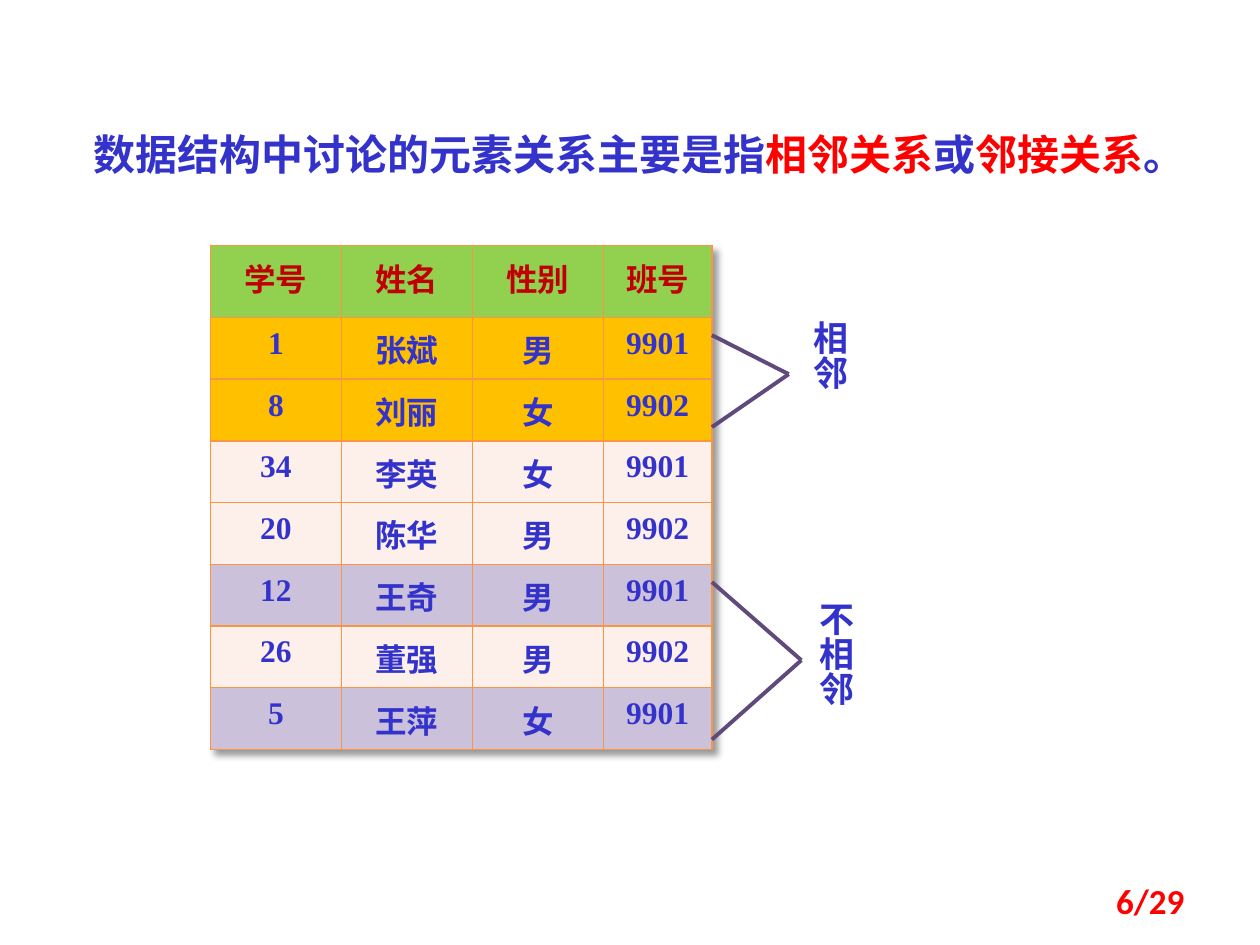
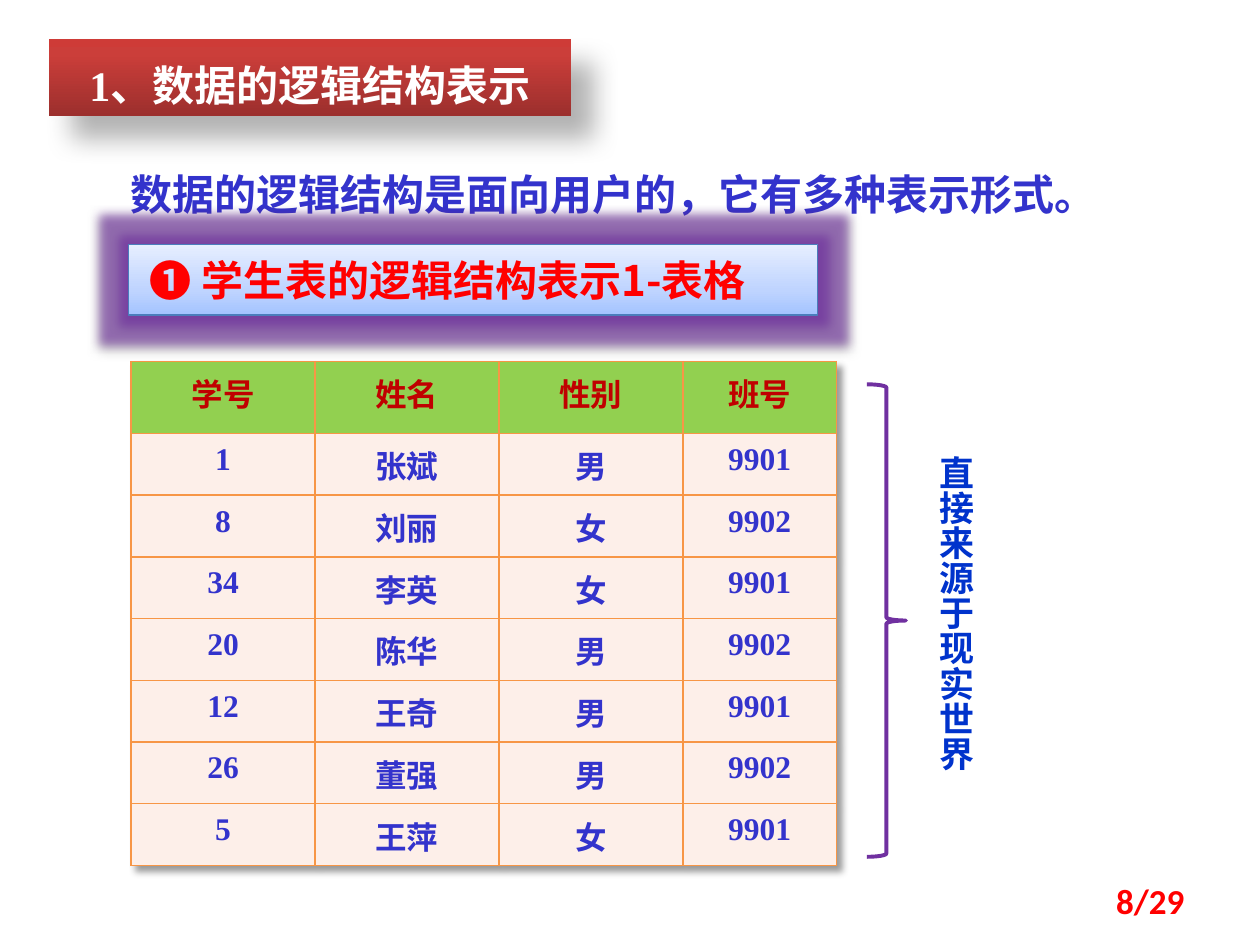
from dataclasses import dataclass
from lxml.etree import SubElement
from pptx import Presentation
from pptx.dml.color import RGBColor
from pptx.enum.shapes import MSO_CONNECTOR, MSO_SHAPE
from pptx.enum.text import MSO_ANCHOR, MSO_AUTO_SIZE, PP_ALIGN
from pptx.oxml.ns import qn
from pptx.util import Inches, Pt

COLORS = {
    "ink": "3333CC", "red": "FF0000", "white": "FFFFFF", "black": "000000",
    "header_text": "C00000", "header_fill": "92D050", "row": "FDEFE9",
    "adjacent": "FFC000", "separate": "CCC1DA", "border": "F79646",
    "link": "604A7B", "brace": "7030A0", "source": "0033CC",
    "subtitle_line": "4B7EBC",
}
HEADING_STOPS = [(0, "9C2F2D"), (80, "CB3E3A"), (100, "CE3B37")]
SUBTITLE_STOPS = [(0, "A4C4FF"), (35, "BFD4FF"), (100, "E6EEFF")]
SERIF = "Times New Roman"
CJK = "Noto Sans CJK SC"
PAGE_COUNT = 29
HEADER_HEIGHT = 0.57
ROW_HEIGHT = 0.49

STUDENTS = [
    ("学号", "姓名", "性别", "班号"),
    ("1", "张斌", "男", "9901"),
    ("8", "刘丽", "女", "9902"),
    ("34", "李英", "女", "9901"),
    ("20", "陈华", "男", "9902"),
    ("12", "王奇", "男", "9901"),
    ("26", "董强", "男", "9902"),
    ("5", "王萍", "女", "9901"),
]


@dataclass(frozen=True)
class Area:
    left: float
    top: float
    width: float
    height: float

    def lengths(self) -> list:
        return [Inches(n) for n in (self.left, self.top, self.width, self.height)]


@dataclass(frozen=True)
class Span:
    text: str
    color: str = "ink"


@dataclass(frozen=True)
class Style:
    size: int = 24
    font: str = SERIF
    align: PP_ALIGN = PP_ALIGN.LEFT
    spacing: float = 1.0
    anchor: MSO_ANCHOR = MSO_ANCHOR.TOP
    insets: tuple = (0.1, 0.05, 0.1, 0.05)
    vertical: bool = False


@dataclass(frozen=True)
class Relation:
    label: str
    area: Area
    rows: tuple
    tip: tuple


RELATIONS = [
    Relation("相邻", Area(6.26, 2.45, 0.64, 1.04), (2.66, 3.39), (6.26, 2.97)),
    Relation("不相邻", Area(6.31, 4.68, 0.64, 1.35), (4.62, 5.87), (6.36, 5.24)),
]


def rgb(name: str) -> RGBColor:
    return RGBColor.from_string(COLORS[name])


def write_spans(para, spans: list[Span], style: Style) -> None:
    para.alignment = style.align
    para.line_spacing = style.spacing
    para.space_before = Pt(0)
    for span in spans:
        run = para.add_run()
        run.text = span.text
        run.font.size = Pt(style.size)
        run.font.bold = True
        run.font.name = style.font
        run.font.color.rgb = rgb(span.color)
        SubElement(run.font._element, qn("a:ea"), typeface=CJK)


def fill_text(shape, spans: list[Span], style: Style) -> None:
    frame = shape.text_frame
    frame.word_wrap = True
    frame.auto_size = MSO_AUTO_SIZE.NONE
    frame.vertical_anchor = style.anchor
    (frame.margin_left, frame.margin_top,
     frame.margin_right, frame.margin_bottom) = [Inches(n) for n in style.insets]
    if style.vertical:
        frame._txBody.bodyPr.set("vert", "eaVert")
    write_spans(frame.paragraphs[0], spans, style)


def add_text(page, area: Area, spans: list[Span], style: Style) -> None:
    fill_text(page.shapes.add_textbox(*area.lengths()), spans, style)


def set_title(page, area: Area, spans: list[Span], style: Style):
    title = page.shapes.title
    title.left, title.top, title.width, title.height = area.lengths()
    fill_text(title, spans, style)
    return title


def add_color(parent, color: str, opacity: int) -> None:
    node = SubElement(parent, qn("a:srgbClr"), val=COLORS[color])
    SubElement(node, qn("a:alpha"), val=str(opacity * 1000))


def add_shadow(effects, opacity: int, blur: float, distance: float, angle: int) -> None:
    shadow = SubElement(effects, qn("a:outerShdw"), blurRad=str(Pt(blur)),
                        dist=str(Pt(distance)), dir=str(angle * 60000),
                        algn="tl", rotWithShape="0")
    add_color(shadow, "black", opacity)


def add_glow(effects, color: str, opacity: int, radius: float) -> None:
    add_color(SubElement(effects, qn("a:glow"), rad=str(Pt(radius))), color, opacity)


def own_effects(shape):
    shape.shadow.inherit = False
    return shape._element.spPr.find(qn("a:effectLst"))


def fill_gradient(shape, stops: list) -> None:
    shape.fill.gradient()
    shape.fill.gradient_angle = 90
    stop_list = shape._element.spPr.find(".//" + qn("a:gsLst"))
    stop_list.clear()
    for position, color in stops:
        stop = SubElement(stop_list, qn("a:gs"), pos=str(position * 1000))
        SubElement(stop, qn("a:srgbClr"), val=color)


def draw_borders(cell) -> None:
    properties = cell._tc.get_or_add_tcPr()
    for index, side in enumerate(("lnL", "lnR", "lnT", "lnB")):
        line = SubElement(properties, qn("a:" + side), w=str(Pt(1)))
        fill = SubElement(line, qn("a:solidFill"))
        SubElement(fill, qn("a:srgbClr"), val=COLORS["border"])
        properties.insert(index, line)


def add_student_table(page, area: Area, columns: list[float],
                      highlights: dict[int, str]) -> None:
    table = page.shapes.add_table(len(STUDENTS), len(columns), *area.lengths()).table
    table.first_row = table.horz_banding = False
    properties = table._tbl.tblPr
    effects = SubElement(properties, qn("a:effectLst"))
    properties.insert(0, effects)
    add_shadow(effects, 40, 4, 4, 45)
    for column, width in zip(table.columns, columns):
        column.width = Inches(width)
    style = Style(size=18, align=PP_ALIGN.CENTER)
    for row, record in enumerate(STUDENTS):
        table.rows[row].height = Inches(ROW_HEIGHT if row else HEADER_HEIGHT)
        fill = highlights.get(row, "row") if row else "header_fill"
        for column, text in enumerate(record):
            cell = table.cell(row, column)
            cell.margin_top, cell.margin_bottom = Inches(0.07), Inches(0.05)
            cell.fill.solid()
            cell.fill.fore_color.rgb = rgb(fill)
            draw_borders(cell)
            color = "ink" if row else "header_text"
            write_spans(cell.text_frame.paragraphs[0], [Span(text, color)], style)


def add_relation(page, relation: Relation, table_edge: float) -> None:
    tip = [Inches(n) for n in relation.tip]
    for row in relation.rows:
        link = page.shapes.add_connector(
            MSO_CONNECTOR.STRAIGHT, Inches(table_edge), Inches(row), *tip)
        link.line.color.rgb = rgb("link")
        link.line.width = Pt(2.25)
        SubElement(link._element.spPr, qn("a:effectLst"))
    add_text(page, relation.area, [Span(relation.label)],
             Style(size=20, spacing=1.3, vertical=True))


def add_page(deck, number: int):
    page = deck.slides.add_slide(deck.slide_layouts[5])
    add_text(page, Area(7.17, 6.95, 2.33, 0.4),
             [Span(f"{number}/{PAGE_COUNT}", "red")],
             Style(size=20, font="Calibri", align=PP_ALIGN.RIGHT,
                   anchor=MSO_ANCHOR.MIDDLE))
    return page


def build_relations_page(deck) -> None:
    page = add_page(deck, 6)
    set_title(page, Area(0.62, 1.02, 8.91, 0.41),
              [Span("数据结构中讨论的元素关系主要是指"), Span("相邻关系", "red"),
               Span("或"), Span("邻接关系", "red"), Span("。")],
              Style(align=PP_ALIGN.CENTER, spacing=0.8, insets=(0.1, 0.08, 0.1, 0)))
    table_area = Area(1.67, 1.95, 3.98, 4)
    add_student_table(page, table_area, [1.04] * 3 + [0.86],
                      {1: "adjacent", 2: "adjacent", 5: "separate", 7: "separate"})
    for relation in RELATIONS:
        add_relation(page, relation, table_area.left + table_area.width)


def build_table_page(deck) -> None:
    page = add_page(deck, 8)
    heading = set_title(page, Area(0.39, 0.31, 4.14, 0.61),
                        [Span("1、数据的逻辑结构表示", "white")],
                        Style(align=PP_ALIGN.CENTER, spacing=1.1,
                              insets=(0.1, 0.12, 0.1, 0.05)))
    fill_gradient(heading, HEADING_STOPS)
    add_shadow(own_effects(heading), 30, 15, 18, 45)

    add_text(page, Area(0.94, 1.17, 8.36, 0.63),
             [Span("数据的逻辑结构是面向用户的，它有多种表示形式。")], Style(spacing=1.3))
    add_student_table(page, Area(1.04, 2.87, 5.6, 4), [1.46] * 3 + [1.22], {})

    subtitle = page.shapes.add_shape(
        MSO_SHAPE.RECTANGLE, *Area(1.02, 1.94, 5.47, 0.56).lengths())
    fill_gradient(subtitle, SUBTITLE_STOPS)
    subtitle.line.color.rgb = rgb("subtitle_line")
    subtitle.line.width = Pt(0.75)
    effects = own_effects(subtitle)
    add_glow(effects, "brace", 60, 11)
    add_shadow(effects, 38, 3.1, 1.6, 90)
    fill_text(subtitle, [Span("❶ 学生表的逻辑结构表示1-表格", "red")],
              Style(font=CJK, insets=(0.17, 0.08, 0.1, 0.08), anchor=MSO_ANCHOR.MIDDLE))

    brace = page.shapes.add_shape(
        MSO_SHAPE.RIGHT_BRACE, *Area(6.88, 3.05, 0.31, 3.75).lengths())
    brace.fill.background()
    brace.line.color.rgb = rgb("brace")
    brace.line.width = Pt(2.25)
    brace.shadow.inherit = False
    add_text(page, Area(7.27, 3.52, 0.47, 2.73), [Span("直接来源于现实世界", "source")],
             Style(size=20, font=CJK, spacing=0.8, vertical=True))


def main() -> None:
    deck = Presentation()
    deck.slide_width, deck.slide_height = Inches(10), Inches(7.5)
    build_relations_page(deck)
    build_table_page(deck)
    deck.save("out.pptx")


if __name__ == "__main__":
    main()
